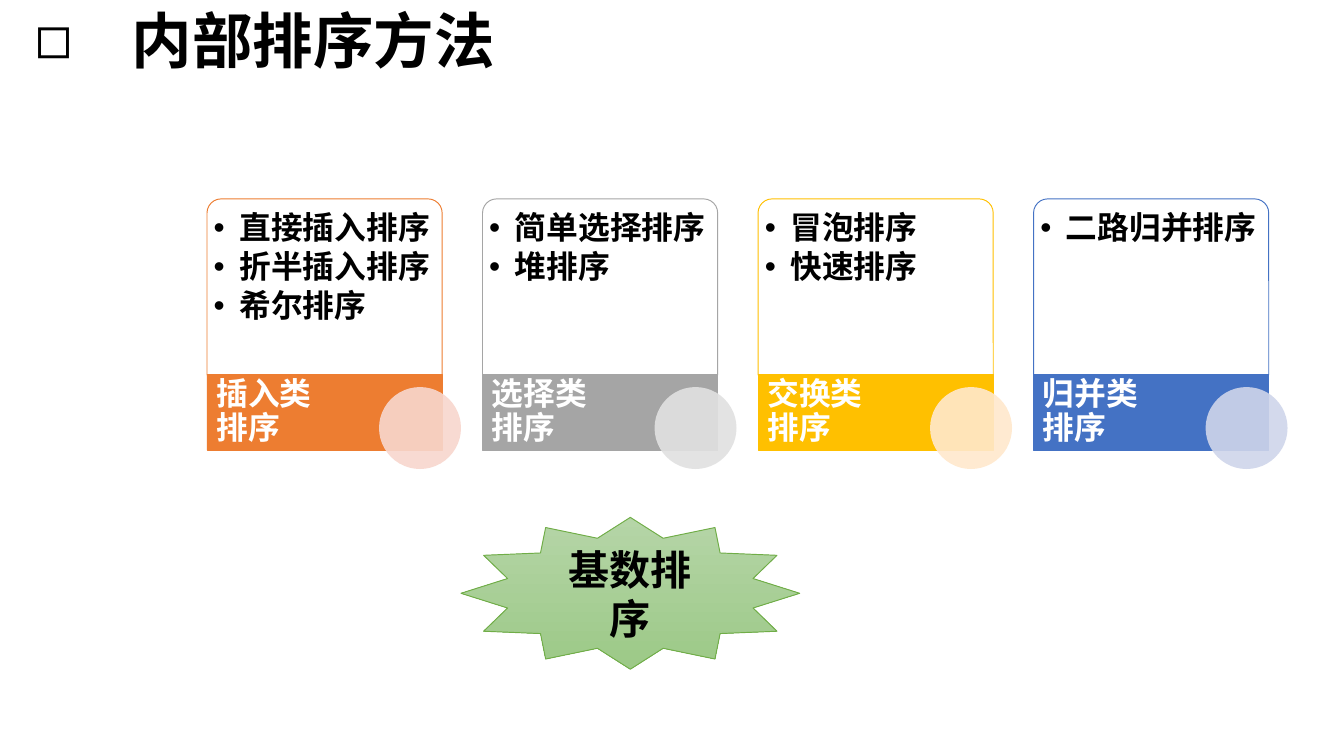
import pptx
import pptx.util
import pptx.dml.color
import pptx.enum.shapes
import pptx.enum.text
import pptx.oxml.ns
import lxml.etree

KIND = pptx.enum.shapes.MSO_SHAPE
ALIGN = pptx.enum.text.PP_ALIGN
MID = pptx.enum.text.MSO_ANCHOR.MIDDLE
TOP = pptx.enum.text.MSO_ANCHOR.TOP
FIT = pptx.enum.text.MSO_AUTO_SIZE.NONE
CELL = 0.1
LEFT, STEP, WIDE = 15.4, 20.5, 17.5
GROUPS = [
    ("插入类", "ED7D31", "F8D7CE", ["直接插入排序", "折半插入排序", "希尔排序"]),
    ("选择类", "A5A5A5", "E1E1E1", ["简单选择排序", "堆排序"]),
    ("交换类", "FFC000", "FFE8CC", ["冒泡排序", "快速排序"]),
    ("归并类", "4472C4", "CFD5EA", ["二路归并排序"]),
]


def span(cells):
    """Turn grid cells into a length."""
    return pptx.util.Inches(cells * CELL)


def tint(color, code):
    """Set a colour from a hex string."""
    color.rgb = pptx.dml.color.RGBColor.from_string(code)


def sub(node, tag, **attrs):
    """Add a child element with attributes."""
    child = lxml.etree.SubElement(node, pptx.oxml.ns.qn(tag))
    for name, value in attrs.items():
        child.set(name, value)
    return child


def place(shape, box):
    """Put a shape at its grid cells."""
    shape.left, shape.top, shape.width, shape.height = map(span, box)


def paint(shape, code, alpha=None):
    """Fill a shape, sheer if alpha is given."""
    shape.fill.solid()
    tint(shape.fill.fore_color, code)
    if alpha:
        node = shape.fill._xPr.find(".//" + pptx.oxml.ns.qn("a:srgbClr"))
        sub(node, "a:alpha", val=str(alpha * 1000))


def draw(slide, kind, box, edge=None):
    """Add a preset shape with a thin edge or none."""
    shape = slide.shapes.add_shape(kind, *map(span, box))
    shape.shadow.inherit = False
    if edge:
        tint(shape.line.color, edge)
        shape.line.width = pptx.util.Pt(0.5)
    else:
        shape.line.fill.background()
    return shape


def frame(shape, inset, anchor):
    """Set up wrapping, insets and anchor of a text frame."""
    text = shape.text_frame
    text.word_wrap = True
    text.auto_size = FIT
    text.vertical_anchor = anchor
    sides = map(span, inset)
    text.margin_left, text.margin_top, text.margin_right, text.margin_bottom = sides
    return text


def write(para, words, size, code, face="Calibri"):
    """Add one bold run."""
    run = para.add_run()
    run.text = words
    font = run.font
    font.size, font.bold, font.name = pptx.util.Pt(size), True, face
    tint(font.color, code)
    sub(font._element, "a:ea", typeface=face)


def mark(para, sign, indent, face=None):
    """Give a paragraph a bullet and a hanging indent."""
    props = para._p.get_or_add_pPr()
    props.set("marL", str(span(indent)))
    props.set("indent", str(-span(indent)))
    if face:
        sub(props, "a:buFont", typeface=face)
    sub(props, "a:buChar", char=sign)


def head(slide, words):
    """Fill the title placeholder."""
    title = slide.shapes.title
    place(title, (1.6, 0.6, 96.9, 5.3))
    para = frame(title, (1, 0.5, 1, 0.5), MID).paragraphs[0]
    para.alignment = ALIGN.LEFT
    para.line_spacing = 0.9
    para.space_before = pptx.util.Pt(6)
    mark(para, "◻", 6.2, "Calibri")
    write(para, words, 32.4, "000000", "Noto Sans CJK SC")


def fill_list(slide, holder, left, items):
    """Move a body placeholder to the front and list the items."""
    slide.shapes._spTree.append(holder._element)
    place(holder, (left + 0.3, 15.1, 16.9, 12.8))
    text = frame(holder, (0.2, 0.7, 0.2, 0.2), TOP)
    for i, item in enumerate(items):
        para = text.add_paragraph() if i else text.paragraphs[0]
        para.level = 1
        para.alignment = ALIGN.LEFT
        para.line_spacing = 0.9
        para.space_before = pptx.util.Pt(0)
        para.space_after = pptx.util.Pt(2.55)
        mark(para, "•", 1.9)
        write(para, item, 17, "000000")


def card(slide, holder, left, group):
    """Draw one group: list card, label band and disc."""
    name, code, pale, items = group
    panel = draw(slide, KIND.ROUND_2_SAME_RECTANGLE, (left, 14.8, WIDE, 13.1), code)
    panel.adjustments[0] = 0.08
    paint(panel, "FFFFFF", 90)
    fill_list(slide, holder, left, items)
    paint(draw(slide, KIND.RECTANGLE, (left, 27.9, WIDE, 5.6), code), code)
    label = slide.shapes.add_textbox(*map(span, (left, 27.9, 12.3, 5.6)))
    para = frame(label, (0.7, 0, 0.2, 0), MID).paragraphs[0]
    para.line_spacing = 0.9
    write(para, name, 17, "FFFFFF")
    para.add_line_break()
    write(para, "排序", 17, "FFFFFF")
    disc = draw(slide, KIND.OVAL, (left + 12.8, 28.8, 6.1, 6.1))
    paint(disc, pale, 90)


def star(slide, words):
    """Draw the star with a gradient fill."""
    shape = draw(slide, KIND.STAR_12_POINT, (34.3, 38.5, 25.2, 11.3), "70AD47")
    shape.fill.gradient()
    shape.fill.gradient_angle = 270
    for stop, code in zip(shape.fill.gradient_stops, ("B5D5A7", "9CC987")):
        tint(stop.color, code)
    first, last = shape.fill.gradient_stops
    first.position, last.position = 0, 1
    para = frame(shape, (1, 0.5, 1, 0.5), MID).paragraphs[0]
    para.alignment = ALIGN.CENTER
    write(para, words, 22, "000000")


def main():
    """Build and save the slide."""
    deck = pptx.Presentation()
    deck.slide_width, deck.slide_height = span(100), span(56.25)
    slide = deck.slides.add_slide(deck.slide_layouts.get_by_name("Comparison"))
    holders = list(slide.placeholders)[1:5]
    for i, (holder, group) in enumerate(zip(holders, GROUPS)):
        card(slide, holder, LEFT + i * STEP, group)
    head(slide, " 内部排序方法")
    star(slide, "基数排序")
    deck.save("out.pptx")


if __name__ == "__main__":
    main()
